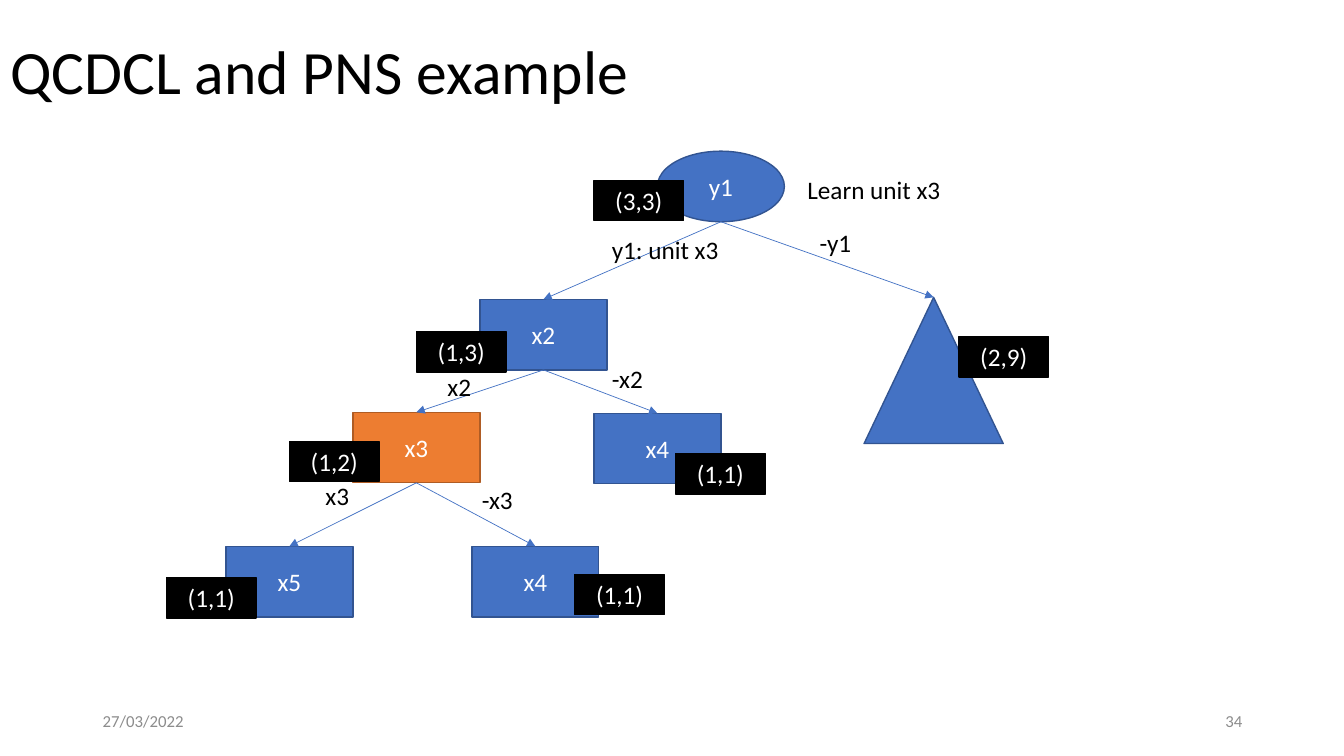
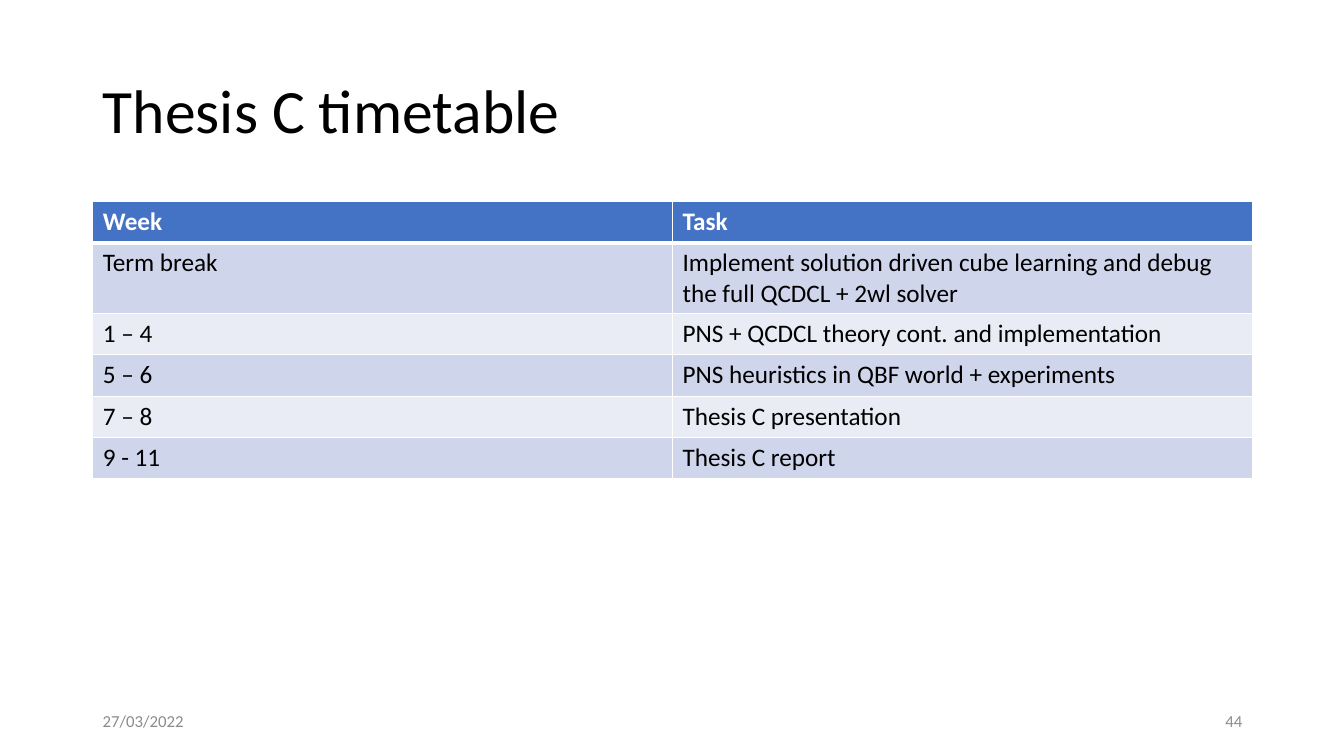
from lxml import etree
from pptx import Presentation
from pptx.dml.color import RGBColor
from pptx.enum import shapes, text
from pptx.oxml import ns
from pptx.util import Inches, Pt

FONT = "Calibri"
BLACK = RGBColor(0x00, 0x00, 0x00)
WHITE = RGBColor(0xFF, 0xFF, 0xFF)
GREY = RGBColor(0x8C, 0x8C, 0x8C)
BLUE = RGBColor(0x44, 0x72, 0xC4)
DARK_BLUE = RGBColor(0x32, 0x54, 0x91)
ORANGE = RGBColor(0xED, 0x7D, 0x31)
DARK_ORANGE = RGBColor(0xAF, 0x5C, 0x24)
BANDS = [RGBColor(0xCF, 0xD5, 0xEA), RGBColor(0xE9, 0xEB, 0xF5)]

DATE = "27/03/2022"
MARGIN, CONTENT_WIDTH = 0.92, 11.5
NODE_SIZE = (1.26, 0.7)
TREE_SIZE = (1.38, 1.45)
TAG_SIZE = (0.89, 0.4)

RECT = shapes.MSO_SHAPE.RECTANGLE
OVAL = shapes.MSO_SHAPE.OVAL
TRIANGLE = shapes.MSO_SHAPE.ISOSCELES_TRIANGLE
LEFT, CENTER, RIGHT = (text.PP_ALIGN.LEFT, text.PP_ALIGN.CENTER,
                       text.PP_ALIGN.RIGHT)

# name: (shape, left, top, size, text, fill, outline)
NODES = {
    "root": (OVAL, 6.52, 1.5, NODE_SIZE, "y1", BLUE, DARK_BLUE),
    "x2": (RECT, 4.76, 2.97, NODE_SIZE, "x2", BLUE, DARK_BLUE),
    "subtree": (TRIANGLE, 8.57, 2.95, TREE_SIZE, "", BLUE, DARK_BLUE),
    "x3": (RECT, 3.5, 4.09, NODE_SIZE, "x3", ORANGE, DARK_ORANGE),
    "x4 upper": (RECT, 5.89, 4.1, NODE_SIZE, "x4", BLUE, DARK_BLUE),
    "x5": (RECT, 2.24, 5.42, NODE_SIZE, "x5", BLUE, DARK_BLUE),
    "x4 lower": (RECT, 4.68, 5.42, NODE_SIZE, "x4", BLUE, DARK_BLUE),
}
EDGES = [("root", "x2"), ("root", "subtree"), ("x2", "x3"),
         ("x2", "x4 upper"), ("x3", "x5"), ("x3", "x4 lower")]
# (text, left, top, width)
LABELS = [
    ("Learn unit x3", 7.91, 1.68, 1.54),
    ("y1: unit x3", 5.97, 2.28, 1.27),
    ("-y1", 8.03, 2.21, 0.52),
    ("x2", 4.34, 3.63, 0.44),
    ("-x2", 5.97, 3.56, 0.52),
    ("x3", 3.13, 4.72, 0.44),
    ("-x3", 4.68, 4.76, 0.52),
]
# (proof and disproof numbers, left, top)
TAGS = [
    ("(3,3)", 5.89, 1.79), ("(1,3)", 4.13, 3.29), ("(1,2)", 2.87, 4.38),
    ("(1,1)", 1.65, 5.73), ("(1,1)", 5.7, 5.7), ("(1,1)", 6.7, 4.5),
    ("(2,9)", 9.51, 3.34),
]
TIMETABLE = [
    ("Week", "Task"),
    ("Term break", "Implement solution driven cube learning and debug "
                   "the full QCDCL + 2wl solver"),
    ("1 – 4", "PNS + QCDCL theory cont. and implementation"),
    ("5 – 6", "PNS heuristics in QBF world + experiments"),
    ("7 – 8", "Thesis C presentation"),
    ("9 - 11", "Thesis C report"),
]


def write(frame, words, color, size=18, align=LEFT, bold=False):
    para = frame.paragraphs[0]
    para.alignment = align
    span = para.add_run()
    span.text = words
    span.font.color.rgb = color
    formats = {"name": FONT, "size": Pt(size), "bold": bold}
    for name, value in formats.items():
        setattr(span.font, name, value)
    return para


def add_page(deck, title, number, left, top):
    """Add a slide with its title, date and slide number."""
    page = deck.slides.add_slide(deck.slide_layouts[5])
    box = page.shapes.title
    place = {"left": left, "top": top, "width": CONTENT_WIDTH, "height": 1.45}
    for name, value in place.items():
        setattr(box, name, Inches(value))
    frame = box.text_frame
    frame.auto_size = text.MSO_AUTO_SIZE.NONE
    frame.vertical_anchor = text.MSO_ANCHOR.MIDDLE
    write(frame, title, BLACK, 44).line_spacing = 0.9
    right_edge = MARGIN + CONTENT_WIDTH
    for words, x, align in [(DATE, MARGIN, LEFT),
                            (number, right_edge - 3, RIGHT)]:
        footer = add_text(page, words, x, 6.95, 3, GREY, 12, align)
        footer.vertical_anchor = text.MSO_ANCHOR.MIDDLE
        footer.word_wrap = True
    return page


def add_text(page, words, left, top, width, color=BLACK, size=18, align=LEFT):
    box = page.shapes.add_textbox(Inches(left), Inches(top),
                                  Inches(width), Inches(0.4))
    box.text_frame.word_wrap = False
    write(box.text_frame, words, color, size, align)
    return box.text_frame


def add_box(page, kind, left, top, size, words, fill, outline):
    width, height = size
    box = page.shapes.add_shape(kind, Inches(left), Inches(top),
                                Inches(width), Inches(height))
    box.shadow.inherit = False
    box.fill.solid()
    box.fill.fore_color.rgb = fill
    box.line.color.rgb = outline
    box.line.width = Pt(1)
    if words:
        box.text_frame.vertical_anchor = text.MSO_ANCHOR.MIDDLE
        write(box.text_frame, words, WHITE, align=CENTER)
    return box


def add_arrow(page, parent, child):
    """Draw an arrow from the bottom of parent to the top of child."""
    arrow = page.shapes.add_connector(
        shapes.MSO_CONNECTOR.STRAIGHT,
        parent.left + parent.width // 2, parent.top + parent.height,
        child.left + child.width // 2, child.top)
    arrow.line.color.rgb = BLUE
    arrow.line.width = Pt(0.5)
    line = arrow.line._get_or_add_ln()
    etree.SubElement(line, ns.qn("a:tailEnd"), type="triangle")
    etree.SubElement(arrow._element.spPr, ns.qn("a:effectLst"))


def add_borders(cell, bottom):
    properties = cell._tc.get_or_add_tcPr()
    widths = {"lnL": 1, "lnR": 1, "lnT": 1, "lnB": bottom}
    for side, width in widths.items():
        line = etree.SubElement(properties, ns.qn("a:" + side),
                                w=str(Pt(width)))
        fill = etree.SubElement(line, ns.qn("a:solidFill"))
        etree.SubElement(fill, ns.qn("a:srgbClr"), val=str(WHITE))


def build_example(deck):
    page = add_page(deck, "QCDCL and PNS example", "34", 0, 0.01)
    boxes = {name: add_box(page, *node) for name, node in NODES.items()}
    for parent, child in EDGES:
        add_arrow(page, boxes[parent], boxes[child])
    for label in LABELS:
        add_text(page, *label)
    for words, left, top in TAGS:
        add_box(page, RECT, left, top, TAG_SIZE, words, BLACK, BLACK)


def build_timetable(deck):
    page = add_page(deck, "Thesis C timetable", "44", MARGIN, 0.4)
    row_height = 0.41
    table = page.shapes.add_table(
        len(TIMETABLE), len(TIMETABLE[0]), Inches(MARGIN), Inches(2),
        Inches(CONTENT_WIDTH), Inches(row_height * len(TIMETABLE))).table
    for r, row in enumerate(TIMETABLE):
        header = r == 0
        for c, words in enumerate(row):
            cell = table.cell(r, c)
            add_borders(cell, 3 if header else 1)
            cell.fill.solid()
            cell.fill.fore_color.rgb = BLUE if header else BANDS[(r - 1) % 2]
            write(cell.text_frame, words, WHITE if header else BLACK,
                  bold=header)


def main():
    deck = Presentation()
    deck.slide_width, deck.slide_height = Inches(13.33), Inches(7.5)
    build_example(deck)
    build_timetable(deck)
    deck.save("out.pptx")


if __name__ == "__main__":
    main()
